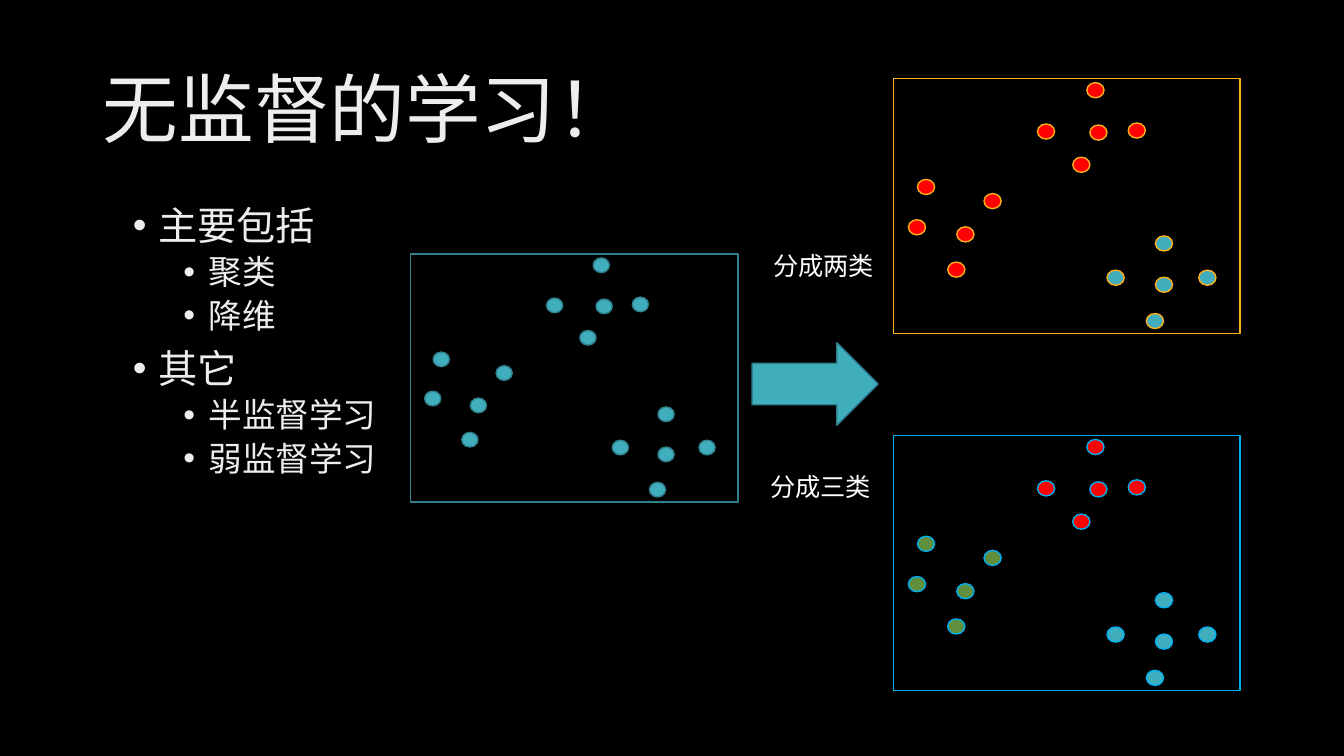
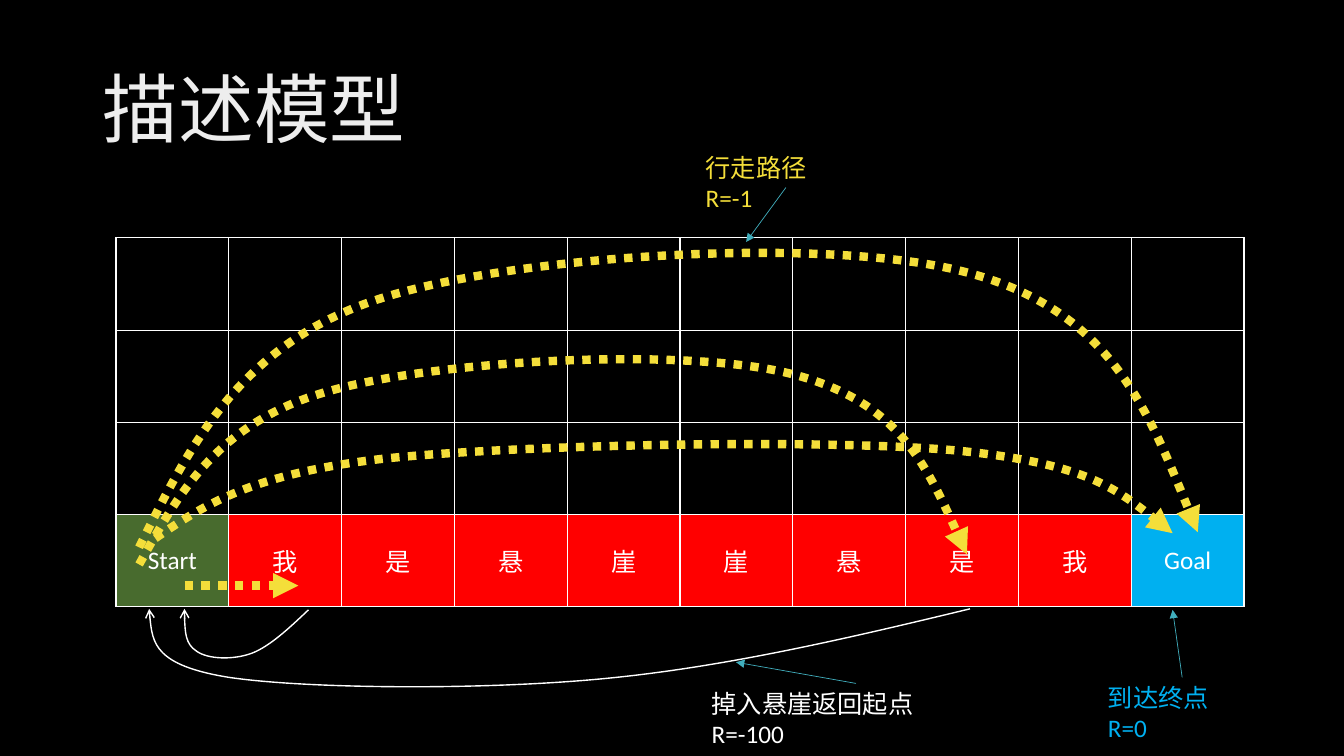
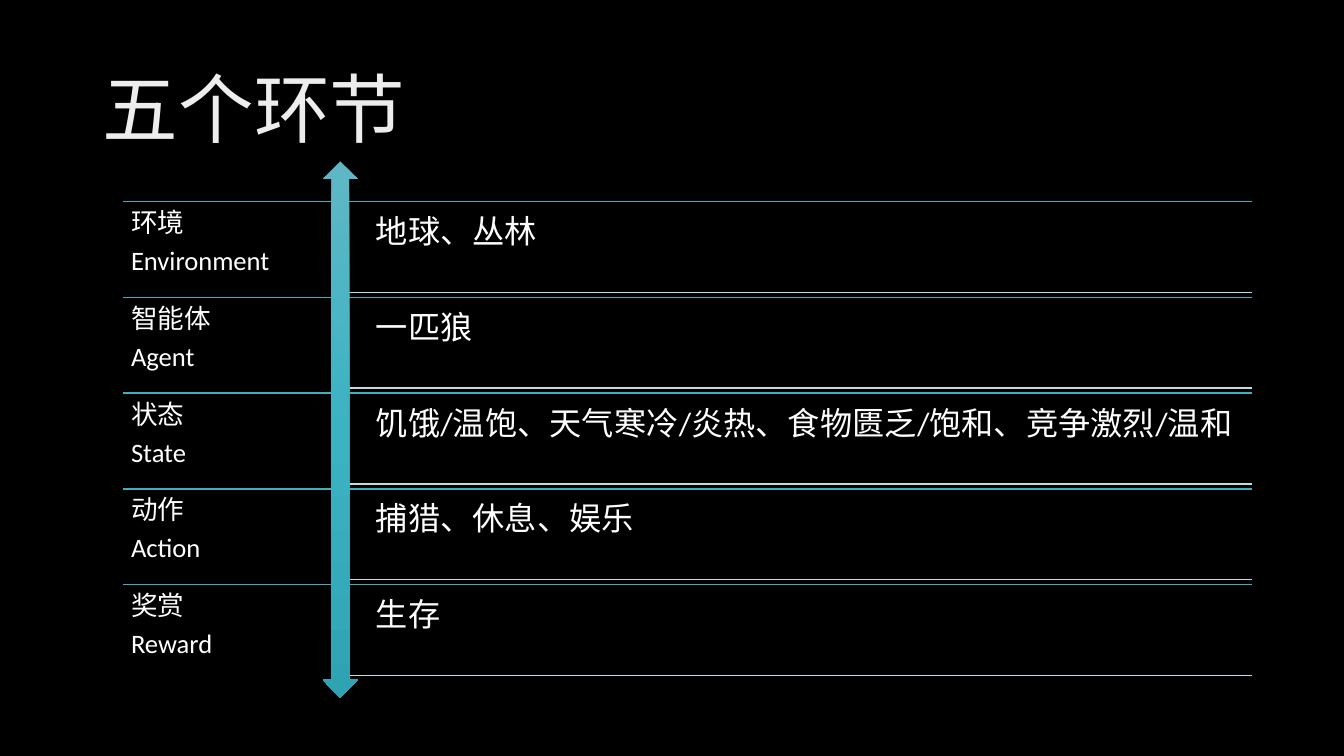
from copy import deepcopy

from lxml.etree import SubElement
from pptx import Presentation
from pptx.dml.color import RGBColor
from pptx.enum.dml import MSO_LINE
from pptx.enum.shapes import MSO_CONNECTOR, MSO_SHAPE
from pptx.enum.text import MSO_ANCHOR, MSO_AUTO_SIZE, PP_ALIGN
from pptx.oxml.ns import qn
from pptx.util import Inches, Pt

FONT = "Calibri"
BLACK, WHITE, TITLE_GREY = "000000", "FFFFFF", "EDEDED"
TEAL, DARK_TEAL, PALE_TEAL = "41AEBD", "30818C", "C0DBE1"
RED, GREEN, DARK_GREEN = "FF0000", "608F3D", "486B2E"
BLUE, ORANGE, YELLOW = "00B0F0", "FCB11C", "F4DE3A"

# Three clusters of dots, as offsets inside a full-size panel
PANEL_SIZE = (3.44, 2.53)
DOT_SIZE = (0.17, 0.15)
CLUSTERS = [
    [(0.24, 1.0), (0.15, 1.4), (0.63, 1.47), (0.9, 1.14), (0.54, 1.82)],
    [(1.92, 0.04), (1.43, 0.45), (1.95, 0.46), (2.33, 0.44), (1.78, 0.78)],
    [(2.6, 1.56), (2.12, 1.9), (2.6, 1.97), (3.03, 1.9), (2.51, 2.33)],
]


def color(hex_text):
    return RGBColor.from_string(hex_text)


def inches(values):
    return [Inches(value) for value in values]


def assign(target, values):
    for name, value in values.items():
        setattr(target, name, value)


class Deck:
    """Holds the shared style and the slide being filled."""

    def __init__(self):
        self.prs = Presentation()
        assign(self.prs, {"slide_width": Inches(13.33), "slide_height": Inches(7.5)})
        background = self.prs.slide_master.background.fill
        background.solid()
        background.fore_color.rgb = color(BLACK)
        self.shapes = None

    def new_slide(self, title):
        title_only = self.prs.slide_layouts[5]
        self.shapes = self.prs.slides.add_slide(title_only).shapes
        heading = self.shapes.title
        assign(heading, dict(zip(("left", "top", "width", "height"),
                                 inches((0.92, 0.4, 11.5, 1.45)))))
        assign(heading.text_frame, {"word_wrap": True, "auto_size": MSO_AUTO_SIZE.NONE,
                                    "vertical_anchor": MSO_ANCHOR.MIDDLE})
        self.styled_run(heading.text_frame.paragraphs[0], title, 54, TITLE_GREY,
                        alignment=PP_ALIGN.LEFT, line_spacing=0.9)

    def styled_run(self, paragraph, text, size, hex_text, **layout):
        run = paragraph.add_run()
        run.text = text
        assign(run.font, {"name": FONT, "size": Pt(size)})
        run.font.color.rgb = color(hex_text)
        assign(paragraph, layout)

    def text(self, box, lines, size, hex_text=WHITE, margin=None, **layout):
        label = self.shapes.add_textbox(*inches(box))
        frame = label.text_frame
        frame.word_wrap = True
        if margin is not None:
            sides = ("left", "top", "right", "bottom")
            assign(frame, {f"margin_{side}": Inches(margin) for side in sides})
        for index, line in enumerate(lines):
            paragraph = frame.add_paragraph() if index else frame.paragraphs[0]
            self.styled_run(paragraph, line, size, hex_text, **layout)
        return label

    def bullets(self, box, items):
        """Draw (level, text) items as a two-level bulleted list."""
        frame = self.shapes.add_textbox(*inches(box)).text_frame
        frame.word_wrap = True
        for index, (level, text) in enumerate(items):
            paragraph = frame.add_paragraph() if index else frame.paragraphs[0]
            properties = paragraph._p.get_or_add_pPr()
            properties.set("marL", str(Inches(0.25 + 0.5 * level)))
            properties.set("indent", str(Inches(-0.25)))
            SubElement(properties, qn("a:buFont"), typeface="Arial")
            SubElement(properties, qn("a:buChar"), char="•")
            before = Pt((10, 5)[level]) if index else Pt(0)
            self.styled_run(paragraph, text, (28, 24)[level], TITLE_GREY, level=level,
                            line_spacing=0.9, space_before=before)

    def shape(self, kind, box, fill=None, line=None, parent=None):
        drawn = (parent or self.shapes).add_shape(kind, *inches(box))
        drawn.shadow.inherit = False
        if fill:
            drawn.fill.solid()
            drawn.fill.fore_color.rgb = color(fill)
        else:
            drawn.fill.background()
        if line:
            self.stroke(drawn, line, 1)
        else:
            drawn.line.fill.background()
        return drawn

    def stroke(self, drawn, hex_text, width, dash=None, head=None):
        drawn.line.color.rgb = color(hex_text)
        drawn.line.width = Pt(width)
        if dash:
            drawn.line.dash_style = dash
        if head:
            SubElement(drawn._element.spPr.find(qn("a:ln")), qn("a:tailEnd"), type=head)

    def line(self, start, end, *style):
        connector = self.shapes.add_connector(MSO_CONNECTOR.STRAIGHT, *inches(start + end))
        self.stroke(connector, *style)
        SubElement(connector._element.spPr, qn("a:effectLst"))
        return connector

    def curve(self, points, *style):
        """Draw cubic Béziers: a start point, then three points per segment."""
        start, *others = [inches(point) for point in points]
        builder = self.shapes.build_freeform(*start)
        builder.add_line_segments(others, close=False)
        drawn = builder.convert_to_shape()
        drawn.shadow.inherit = False
        drawn.fill.background()
        self.stroke(drawn, *style)
        outline = next(drawn._element.iter(qn("a:path")))
        segments = outline.findall(qn("a:lnTo"))
        for first in range(0, len(segments), 3):
            bezier = SubElement(outline, qn("a:cubicBezTo"))
            for segment in segments[first:first + 3]:
                bezier.append(segment[0])
                outline.remove(segment)

    def vertical_gradient(self, drawn, hex_texts):
        drawn.fill.gradient()
        drawn.fill.gradient_angle = 270
        stop_list = next(drawn._element.iter(qn("a:gsLst")))
        while len(stop_list) < len(hex_texts):
            stop_list.append(deepcopy(stop_list[0]))
        for index, (stop, hex_text) in enumerate(zip(drawn.fill.gradient_stops, hex_texts)):
            stop.position = index / (len(hex_texts) - 1)
            stop.color.rgb = color(hex_text)

    def grid(self, box, rows, columns):
        """Add an unfilled table with thin white borders."""
        table = self.shapes.add_table(rows, columns, *inches(box)).table
        assign(table, {"first_row": False, "horz_banding": False})
        for cell in table.iter_cells():
            properties = cell._tc.get_or_add_tcPr()
            for side in ("lnL", "lnR", "lnT", "lnB"):
                border = SubElement(properties, qn(f"a:{side}"), w=str(Pt(1)))
                SubElement(SubElement(border, qn("a:solidFill")), qn("a:srgbClr"), val=WHITE)
            cell.fill.background()
        return table

    def cluster_panel(self, left, top, line, cluster_fills, size=PANEL_SIZE):
        scale_x, scale_y = size[0] / PANEL_SIZE[0], size[1] / PANEL_SIZE[1]
        group = self.shapes.add_group_shape().shapes
        for dots, fill in zip(CLUSTERS, cluster_fills):
            for x, y in dots:
                box = (left + x * scale_x, top + y * scale_y,
                       DOT_SIZE[0] * scale_x, DOT_SIZE[1] * scale_y)
                self.shape(MSO_SHAPE.OVAL, box, fill, line, group)
        self.shape(MSO_SHAPE.RECTANGLE, (left, top, *size), None, line, group)


def unsupervised_slide(deck):
    deck.new_slide("无监督的学习！")
    deck.bullets((1.22, 2, 3, 3), [
        (0, "主要包括"), (1, "聚类"), (1, "降维"),
        (0, "其它"), (1, "半监督学习"), (1, "弱监督学习"),
    ])
    deck.cluster_panel(4.07, 2.52, DARK_TEAL, (TEAL, TEAL, TEAL), (3.25, 2.46))
    deck.cluster_panel(8.86, 0.78, ORANGE, (RED, RED, TEAL))
    deck.cluster_panel(8.86, 4.32, BLUE, (GREEN, RED, TEAL))
    deck.text((7.57, 2.43, 1.27, 0.4), ["分成两类"], 18)
    deck.text((7.54, 4.63, 1.27, 0.4), ["分成三类"], 18)
    deck.shape(MSO_SHAPE.RIGHT_ARROW, (7.46, 3.4, 1.25, 0.82), TEAL, DARK_TEAL)


def model_slide(deck):
    deck.new_slide("描述模型")
    world = deck.grid((1.15, 2.36, 11.19, 3.66), 4, 10)
    names = ["Start", *"我是悬崖崖悬是我", "Goal"]
    fills = [DARK_GREEN, *[RED] * 8, BLUE]
    for column, (name, fill) in enumerate(zip(names, fills)):
        cell = world.cell(3, column)
        cell.fill.solid()
        cell.fill.fore_color.rgb = color(fill)
        cell.vertical_anchor = MSO_ANCHOR.MIDDLE
        deck.styled_run(cell.text_frame.paragraphs[0], name, 18, WHITE,
                        alignment=PP_ALIGN.CENTER)

    walk = (YELLOW, 6, MSO_LINE.ROUND_DOT, "triangle")
    deck.line((1.83, 5.81), (2.96, 5.81), *walk)
    walks = [
        [(1.38, 5.43), (1.88, 4.43), (2.37, 3.42), (3.75, 2.97), (5.12, 2.52),
         (8.3, 2.33), (9.65, 2.72), (11.01, 3.1), (11.44, 4.19), (11.88, 5.28)],
        [(1.54, 5.34), (2.01, 5.02), (2.48, 4.7), (3.81, 4.55), (5.13, 4.41),
         (8.19, 4.35), (9.49, 4.47), (10.79, 4.6), (11.21, 4.95), (11.63, 5.29)],
        [(1.38, 5.6), (1.77, 4.9), (2.15, 4.2), (3.23, 3.89), (4.31, 3.57),
         (6.79, 3.44), (7.85, 3.71), (8.91, 3.98), (9.25, 4.74), (9.59, 5.5)],
    ]
    falls = [
        [(9.62, 6.04), (8.38, 6.34), (7.14, 6.63), (5.91, 6.74), (4.68, 6.85),
         (3.01, 6.83), (2.27, 6.72), (1.53, 6.6), (1.5, 6.32), (1.48, 6.04)],
        [(3.06, 6.05), (2.87, 6.23), (2.68, 6.41), (2.5, 6.48), (2.31, 6.55),
         (2.06, 6.54), (1.95, 6.46), (1.84, 6.39), (1.83, 6.22), (1.83, 6.04)],
    ]
    for points in walks:
        deck.curve(points, *walk)
    for points in falls:
        deck.curve(points, WHITE, 1, None, "arrow")

    rewards = [
        ((6.9, 1.46, 1.79, 0.4), ["行走路径", "R=-1"], YELLOW, 2, (7.8, 1.86), (7.4, 2.4)),
        ((6.96, 6.78, 3.06, 0.4), ["掉入悬崖返回起点", "R=-100"], WHITE, 0,
         (8.49, 6.78), (7.3, 6.57)),
        ((10.89, 6.72, 1.67, 0.4), ["到达终点", "R=0"], BLUE, 0,
         (11.73, 6.72), (11.63, 6.05)),
    ]
    for box, lines, hex_text, side, start, end in rewards:
        label = deck.text(box, lines, 18, hex_text)
        pointer = deck.line(start, end, TEAL, 0.5, None, "triangle")
        pointer.begin_connect(label, side)


def elements_slide(deck):
    deck.new_slide("五个环节")
    elements = [
        ("环境", "Environment", "地球、丛林"),
        ("智能体", "Agent", "一匹狼"),
        ("状态", "State", "饥饿/温饱、天气寒冷/炎热、食物匮乏/饱和、竞争激烈/温和"),
        ("动作", "Action", "捕猎、休息、娱乐"),
        ("奖赏", "Reward", "生存"),
    ]
    pitch, left, split, right = 0.95, 1.22, 3.46, 12.42
    for index, (chinese, english, example) in enumerate(elements):
        top = 2 + index * pitch
        deck.line((left, top), (right, top), TEAL, 1)
        deck.text((left, top, split - left, pitch), [chinese, english], 19, margin=0.08,
                  line_spacing=0.9, space_after=Pt(6.65))
        deck.text((3.63, top + 0.04, 8.79, 0.86), [example], 23, margin=0.1,
                  line_spacing=0.9)
        deck.line((split, top + 0.9), (right, top + 0.9), PALE_TEAL, 1)
    axis = deck.shape(MSO_SHAPE.UP_DOWN_ARROW, (3.2, 1.6, 0.35, 5.32))
    deck.vertical_gradient(axis, ("5FB7C5", "3BB3C3", "2FA3B3"))


def main():
    deck = Deck()
    unsupervised_slide(deck)
    model_slide(deck)
    elements_slide(deck)
    deck.prs.save("out.pptx")


if __name__ == "__main__":
    main()
